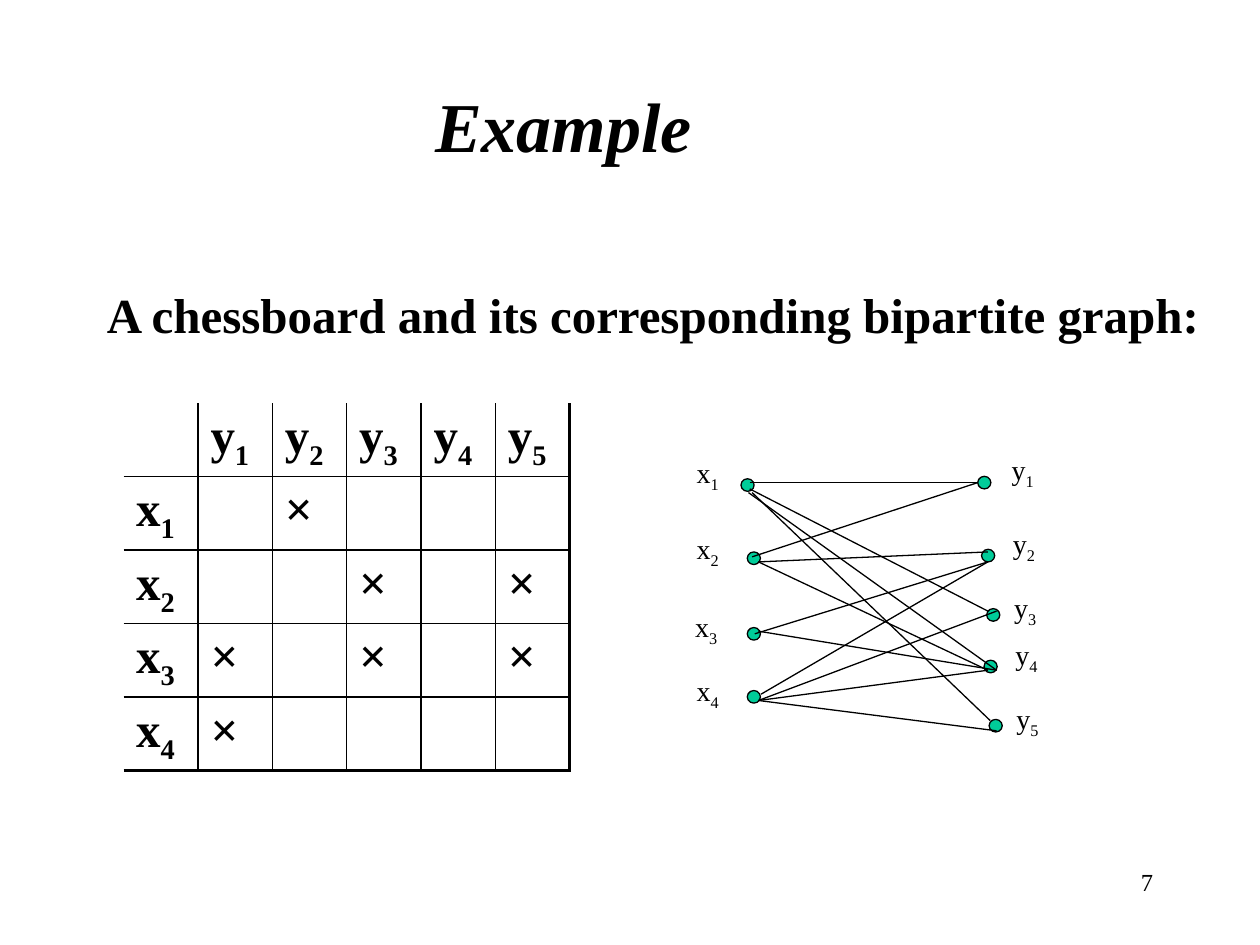
from lxml import etree
from pptx import Presentation
from pptx.dml.color import RGBColor
from pptx.enum.shapes import MSO_CONNECTOR as CONNECTOR, MSO_SHAPE as SHAPE
from pptx.enum.text import MSO_ANCHOR as ANCHOR, PP_ALIGN as ALIGN
from pptx.oxml.ns import qn
from pptx.util import Pt

COLORS = {"ink": "000000", "node": "00CC99"}
FONT = "Times New Roman"

BOARD_LEFT, BOARD_TOP = 70.6, 230.4
SQUARE_WIDTH, SQUARE_HEIGHT = 42.5, 42
BOARD_ROWS, BOARD_COLUMNS = 4, 5
FORBIDDEN = {(1, 2), (2, 3), (2, 5), (3, 1), (3, 3), (3, 5), (4, 1)}

NODE_WIDTH, NODE_HEIGHT = 7.5, 7.2
# Each vertex: left and top of its dot, left and top of its label.
VERTICES = {
    "x1": (423.4, 273.6, 391, 257),
    "x2": (427, 315.4, 391, 300.2),
    "x3": (427, 358.6, 390.2, 344.9),
    "x4": (427, 394.6, 391, 381.6),
    "y1": (558.7, 272.2, 571, 254.9),
    "y2": (560.9, 313.9, 571.7, 297.4),
    "y3": (563.8, 347.8, 572.4, 334.1),
    "y4": (562.3, 377.3, 573.1, 360.7),
    "y5": (565.2, 411.1, 573.8, 397.4),
}
EDGES = [
    # from x1
    (428.4, 275.8, 558.7, 275.8),
    (428.4, 279.4, 564.5, 349.2),
    (427.7, 281.5, 569.5, 383),
    (429.8, 281.5, 565.9, 411.8),
    # from x2
    (429.8, 318.2, 558.7, 275.8),
    (433.4, 321.1, 564.5, 315.4),
    (433.4, 321.1, 564.5, 383),
    # from x3
    (431.3, 362.2, 564.5, 321.1),
    (433.4, 360.7, 569.5, 383),
    # from x4
    (434.9, 396.7, 564.5, 321.1),
    (433.4, 400.3, 569.5, 349.2),
    (433.4, 400.3, 564.5, 383),
    (433.4, 400.3, 569.5, 417.6),
]


def color(name):
    return RGBColor.from_string(COLORS[name])


def add_run(paragraph, text, size, bold=False, italic=False):
    run = paragraph.add_run()
    run.text = text
    font = run.font
    font.name, font.size = FONT, Pt(size)
    font.bold, font.italic = bold, italic
    font.color.rgb = color("ink")
    return run


def add_variable(paragraph, name, size, bold=False):
    """Write a name such as x1 with its digit as a subscript."""
    add_run(paragraph, name[0], size, bold)
    index = add_run(paragraph, name[1], size, bold)
    index.font._element.set("baseline", "-25000")


def add_text_box(slide, left, top, width, height):
    frame = slide.shapes.add_textbox(Pt(left), Pt(top), Pt(width), Pt(height)).text_frame
    frame.word_wrap = True
    return frame


def format_title(slide):
    title = slide.shapes.title
    title.left, title.top, title.width, title.height = Pt(31), Pt(26), Pt(612), Pt(90)
    frame = title.text_frame
    frame.vertical_anchor = ANCHOR.MIDDLE
    frame.margin_right = Pt(37.2)
    heading = frame.paragraphs[0]
    heading.alignment = ALIGN.CENTER
    add_run(heading, "Example", 40, bold=True, italic=True)


def set_borders(cell, widths):
    """Set the borders from a dict of side letter to width; 0 means none."""
    properties = cell._tc.get_or_add_tcPr()
    for side in "LRTB":
        border = etree.SubElement(properties, qn(f"a:ln{side}"), w=str(Pt(widths[side])))
        if widths[side]:
            fill = etree.SubElement(border, qn("a:solidFill"))
            etree.SubElement(fill, qn("a:srgbClr"), val=COLORS["ink"])
        else:
            etree.SubElement(border, qn("a:noFill"))


def add_chessboard(slide):
    rows, columns = BOARD_ROWS + 1, BOARD_COLUMNS + 1
    board = slide.shapes.add_table(
        rows, columns, Pt(BOARD_LEFT), Pt(BOARD_TOP),
        Pt(columns * SQUARE_WIDTH), Pt(rows * SQUARE_HEIGHT)).table
    board.first_row = board.horz_banding = False
    for column in board.columns:
        column.width = Pt(SQUARE_WIDTH)
    for r, row in enumerate(board.rows):
        row.height = Pt(SQUARE_HEIGHT)
        for c, cell in enumerate(row.cells):
            set_borders(cell, {
                "L": 1 if c else 0,
                "R": 2.25 if c == BOARD_COLUMNS else 1,
                "T": 1 if r else 0,
                "B": 2.25 if r == BOARD_ROWS else 1,
            })
            cell.fill.background()
            cell.margin_left = cell.margin_right = Pt(7.2)
            cell.margin_top, cell.margin_bottom = Pt(3.6), Pt(0)
            entry = cell.text_frame.paragraphs[0]
            entry.font.size = Pt(28)
            if (r, c) in FORBIDDEN:
                add_run(entry, "×", 28, bold=True)
            elif r == 0 and c:
                add_variable(entry, f"y{c}", 28, bold=True)
            elif c == 0 and r:
                add_variable(entry, f"x{r}", 28, bold=True)


def add_vertex(slide, name, left, top, label_left, label_top):
    node = slide.shapes.add_shape(
        SHAPE.OVAL, Pt(left), Pt(top), Pt(NODE_WIDTH), Pt(NODE_HEIGHT))
    node.shadow.inherit = False
    node.fill.solid()
    node.fill.fore_color.rgb = color("node")
    node.line.color.rgb = color("ink")
    node.line.width = Pt(0.75)
    label = add_text_box(slide, label_left, label_top, 38.2, 29.5)
    add_variable(label.paragraphs[0], name, 16)


def add_edge(slide, *ends):
    edge = slide.shapes.add_connector(CONNECTOR.STRAIGHT, *map(Pt, ends))
    edge.line.color.rgb = color("ink")
    edge.line.width = Pt(0.75)
    etree.SubElement(edge._element.spPr, qn("a:effectLst"))


def main():
    prs = Presentation()
    prs.slide_width, prs.slide_height = Pt(720), Pt(540)
    slide = prs.slides.add_slide(prs.slide_layouts[5])
    format_title(slide)

    statement = add_text_box(slide, 54, 156.2, 640.8, 324)
    statement.margin_top = Pt(6.5)
    add_run(statement.paragraphs[0],
            "A chessboard and its corresponding bipartite graph:", 28, bold=True)

    add_chessboard(slide)
    for name, places in VERTICES.items():
        add_vertex(slide, name, *places)
    for ends in EDGES:
        add_edge(slide, *ends)

    page_number = add_text_box(slide, 516.2, 491.8, 149.8, 36).paragraphs[0]
    page_number.alignment = ALIGN.RIGHT
    add_run(page_number, "7", 14)

    prs.save("out.pptx")


if __name__ == "__main__":
    main()
